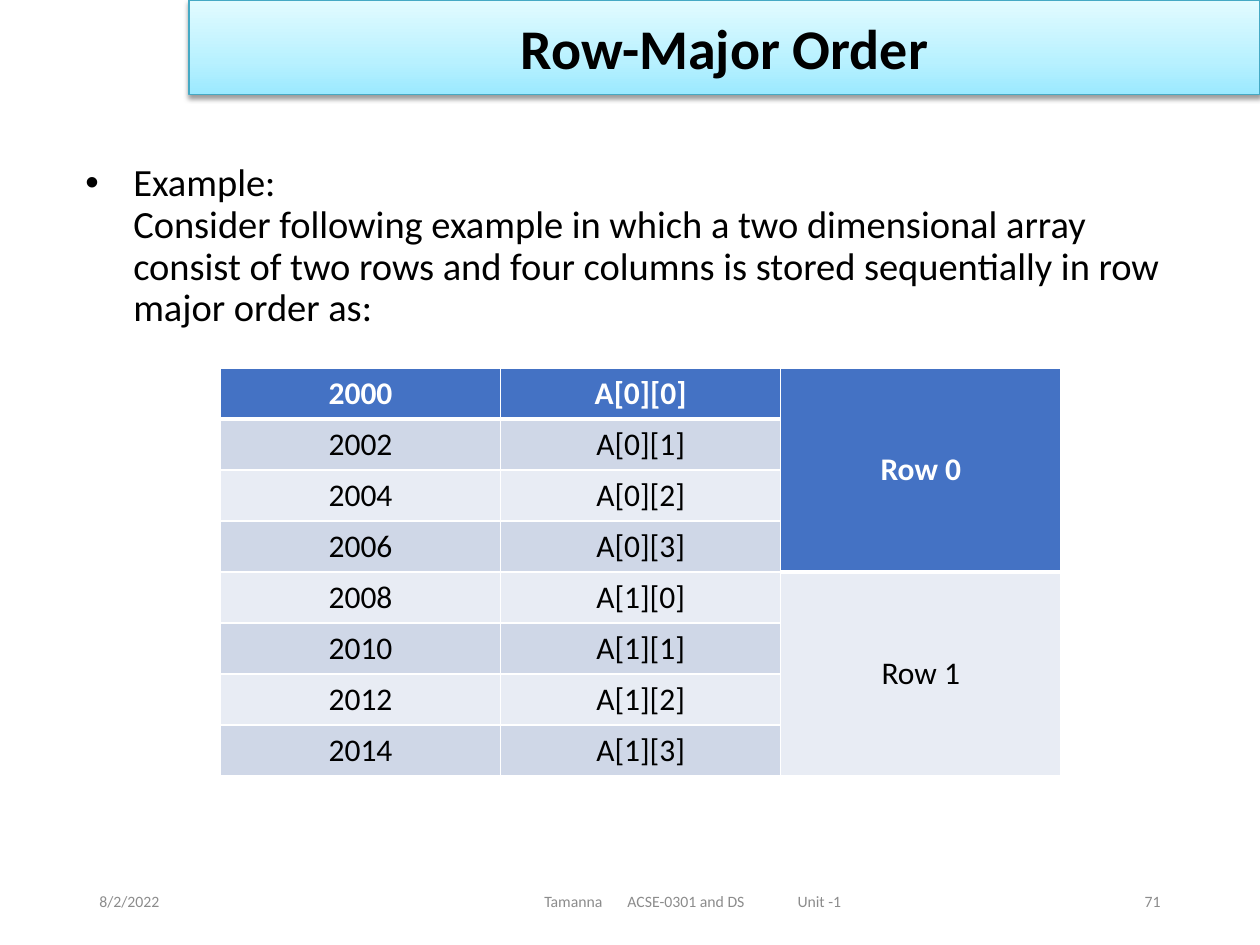
from lxml.etree import SubElement
from pptx import Presentation
from pptx.dml.color import RGBColor
from pptx.enum.shapes import MSO_SHAPE as Shape
from pptx.enum.text import MSO_ANCHOR as Anchor, PP_ALIGN as Align
from pptx.oxml import parse_xml
from pptx.oxml.ns import nsdecls, qn
from pptx.util import Inches, Pt

COLORS = {
    "black": "000000", "white": "FFFFFF", "footer": "8C8C8C",
    "header": "4472C4", "dark_band": "CFD7E7", "light_band": "E8ECF4",
    "title_line": "45A9C4", "title_low": "9BE9FF",
    "title_mid": "B8F1FF", "title_high": "E2FBFF",
}


def add_span(para, text, size, color, bold=False):
    span = para.add_run()
    span.text = text
    span.font.name = "Calibri"
    span.font.size = Pt(size)
    span.font.bold = bold
    span.font.color.rgb = RGBColor.from_string(COLORS[color])


def add_box(left, top, width, height, anchor=Anchor.MIDDLE):
    box = page.shapes.add_textbox(Inches(left), Inches(top), Inches(width), Inches(height))
    box.text_frame.word_wrap = True
    box.text_frame.vertical_anchor = anchor
    return box.text_frame


deck = Presentation()
deck.slide_width = Inches(10)
deck.slide_height = Inches(7.5)
page = deck.slides.add_slide(deck.slide_layouts[6])

para = add_box(0.58, 1.25, 9, 5.33, Anchor.TOP).paragraphs[0]
para.line_spacing = 0.9
properties = para._p.get_or_add_pPr()
properties.set("marL", str(Inches(0.38)))
properties.set("indent", str(Inches(-0.38)))
SubElement(properties, qn("a:buFont"), typeface="Arial")
SubElement(properties, qn("a:buChar"), char="•")
add_span(para, "Example:", 22, "black")
para.add_line_break()
add_span(para, "Consider following example in which a two dimensional array consist of two rows "
         "and four columns is stored sequentially in row major order as:", 22, "black")

for left, text, align in [(0.69, "8/2/2022", Align.LEFT), (7.06, "71", Align.RIGHT)]:
    para = add_box(left, 6.95, 2.25, 0.4).paragraphs[0]
    para.alignment = align
    add_span(para, text, 9, "footer")

frame = add_box(2.75, 6.95, 5.5, 0.4)
frame.margin_left = Inches(1.57)
para = frame.paragraphs[0]
tabs = SubElement(para._p.get_or_add_pPr(), qn("a:tabLst"))
for position in (0.66, 2.01):
    SubElement(tabs, qn("a:tab"), pos=str(Inches(position)), algn="l")
for text in ("Tamanna\t", "ACSE-0301 and DS\t", "Unit -1"):
    add_span(para, text, 9, "footer")

title = page.shapes.add_shape(Shape.RECTANGLE, Inches(1.5), 0, Inches(8.5), Inches(0.75))
title.line.color.rgb = RGBColor.from_string(COLORS["title_line"])
title.line.width = Pt(0.75)
title.shadow.inherit = False
stops = "".join(
    f'<a:gs pos="{position * 1000}"><a:srgbClr val="{COLORS[name]}"/></a:gs>'
    for position, name in [(0, "title_low"), (35, "title_mid"), (100, "title_high")])
gradient = parse_xml(f'<a:gradFill {nsdecls("a")} rotWithShape="1"><a:gsLst>{stops}</a:gsLst>'
                     '<a:lin ang="16200000" scaled="0"/></a:gradFill>')
title_properties = title._element.spPr
title_properties.find(qn("a:prstGeom")).addnext(gradient)
shadow = SubElement(title_properties.find(qn("a:effectLst")), qn("a:outerShdw"),
                    blurRad=str(Pt(3.1)), dist=str(Pt(1.6)), dir="5400000", rotWithShape="0")
shadow_color = SubElement(shadow, qn("a:srgbClr"), val=COLORS["black"])
SubElement(shadow_color, qn("a:alpha"), val="38000")
title.text_frame.vertical_anchor = Anchor.MIDDLE
para = title.text_frame.paragraphs[0]
para.alignment = Align.CENTER
add_span(para, "Row-Major Order", 32, "black", True)

ROWS, COLUMNS, GROUP = 8, 3, 4
table = page.shapes.add_table(ROWS, COLUMNS, Inches(1.75), Inches(2.92),
                              Inches(6.67), Inches(3.24)).table
for row in range(ROWS):
    group, index = divmod(row, GROUP)
    texts = (str(2000 + 2 * row), f"A[{group}][{index}]", f"Row {group}")
    for column, text in enumerate(texts):
        cell = table.cell(row, column)
        grouped = column == COLUMNS - 1
        header_rows = GROUP if grouped else 1
        is_header = row < header_rows
        if is_header:
            fill = "header"
        else:
            fill = "light_band" if grouped or row % 2 == 0 else "dark_band"
        cell.fill.solid()
        cell.fill.fore_color.rgb = RGBColor.from_string(COLORS[fill])
        cell.vertical_anchor = Anchor.MIDDLE
        cell.margin_left = cell.margin_right = Inches(0.02)
        cell.margin_top = cell.margin_bottom = Inches(0.02)
        widths = {"L": 1, "R": 1, "T": 3 if row == header_rows else 1,
                  "B": 3 if row == header_rows - 1 else 1}
        for place, (side, width) in enumerate(widths.items()):
            border = parse_xml(f'<a:ln{side} {nsdecls("a")} w="{Pt(width)}"><a:solidFill>'
                               f'<a:srgbClr val="{COLORS["white"]}"/></a:solidFill></a:ln{side}>')
            cell._tc.get_or_add_tcPr().insert(place, border)
        if grouped and index:
            continue
        para = cell.text_frame.paragraphs[0]
        para.alignment = Align.CENTER
        add_span(para, text, 18, "white" if is_header else "black", is_header)
for first in range(0, ROWS, GROUP):
    table.cell(first, 2).merge(table.cell(first + GROUP - 1, 2))

deck.save("out.pptx")
